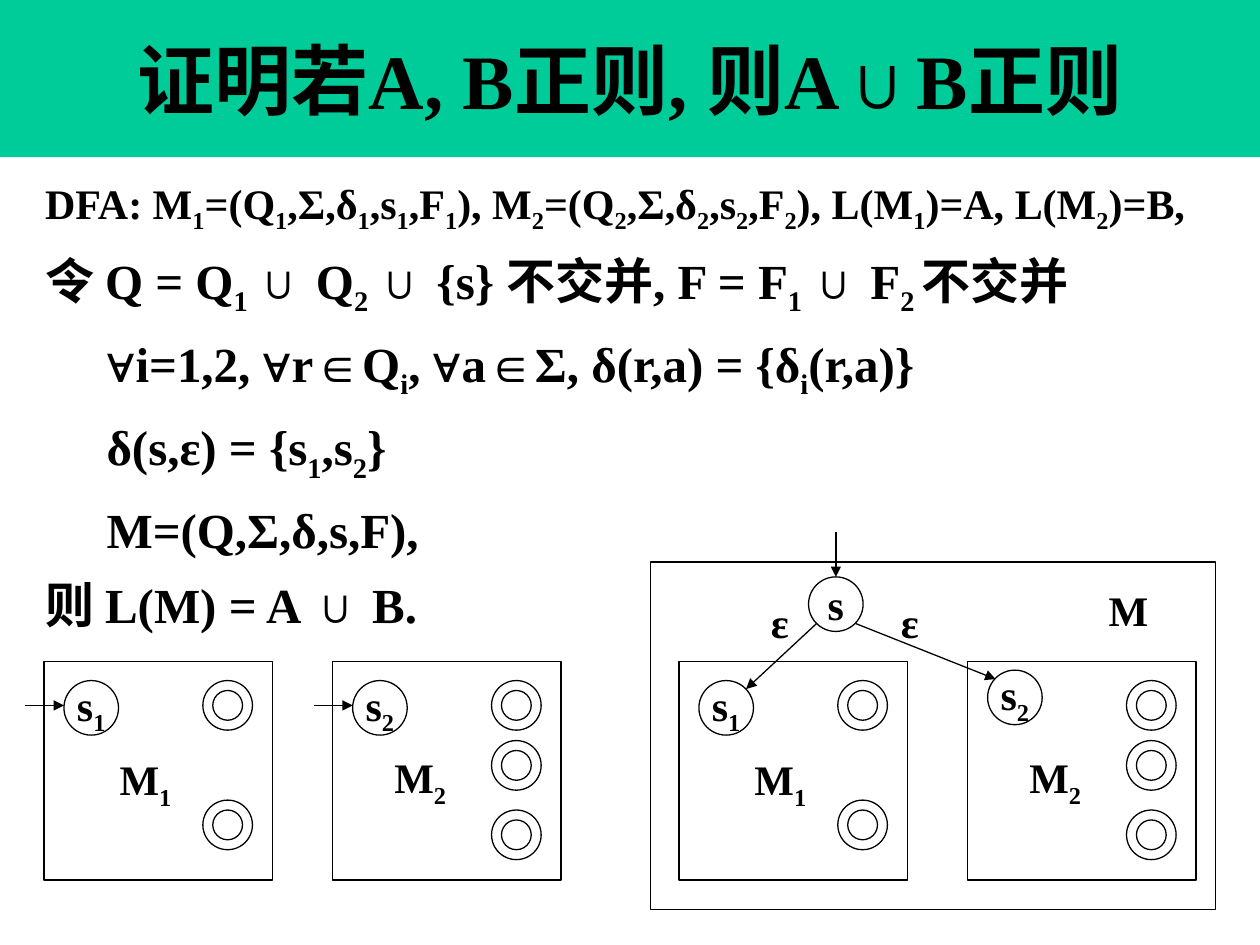
from dataclasses import dataclass
from pptx import Presentation
from pptx.dml.color import RGBColor
from pptx.enum.shapes import MSO_CONNECTOR, MSO_SHAPE
from pptx.enum.text import MSO_ANCHOR, MSO_AUTO_SIZE, PP_ALIGN
from pptx.oxml.ns import qn
from pptx.util import Cm, Pt
from lxml.etree import SubElement


@dataclass(frozen=True)
class Theme:
    font: str = "Times New Roman"
    ink: RGBColor = RGBColor(0, 0, 0)
    band: RGBColor = RGBColor(0, 204, 153)
    head: int = 44
    body: int = 28
    small: int = 24
    line: float = 0.75


THEME = Theme()


def write(par, text, size=THEME.small, align=PP_ALIGN.LEFT, lead=1.0, before=0, after=0, indent=0):
    par.alignment = align
    par.line_spacing = lead
    par.space_before = Pt(before)
    par.space_after = Pt(after)
    if indent:
        par._p.get_or_add_pPr().set("marL", str(Cm(indent)))
    for i, part in enumerate(text.split("|")):
        if not part:
            continue
        run = par.add_run()
        run.text = part
        font = run.font
        font.name, font.size, font.bold = THEME.font, Pt(size), True
        font.color.rgb = THEME.ink
        if i % 2:
            run._r.get_or_add_rPr().set("baseline", "-25000")


class Board:
    def __init__(self, theme, slide):
        self.theme = theme
        self.slide = slide
        self.shapes = slide.shapes

    def title(self, text, width, height):
        shape = self.shapes.title
        shape.left, shape.top, shape.width, shape.height = 0, 0, Cm(width), Cm(height)
        shape.fill.solid()
        shape.fill.fore_color.rgb = self.theme.band
        frame = shape.text_frame
        frame.vertical_anchor = MSO_ANCHOR.MIDDLE
        write(frame.paragraphs[0], text, size=self.theme.head, align=PP_ALIGN.CENTER)

    def text(self, x, y, w, h, rows):
        frame = self.shapes.add_textbox(Cm(x), Cm(y), Cm(w), Cm(h)).text_frame
        frame.word_wrap = False
        frame.auto_size = MSO_AUTO_SIZE.SHAPE_TO_FIT_TEXT
        for i, (row, style) in enumerate(rows):
            par = frame.add_paragraph() if i else frame.paragraphs[0]
            write(par, row, **style)

    def shape(self, kind, x, y, w, h):
        shape = self.shapes.add_shape(kind, Cm(x), Cm(y), Cm(w), Cm(h))
        shape.shadow.inherit = False
        shape.fill.background()
        shape.line.color.rgb = self.theme.ink
        shape.line.width = Pt(self.theme.line)
        return shape

    def box(self, x, y, w, h):
        self.shape(MSO_SHAPE.RECTANGLE, x, y, w, h)

    def state(self, x, y, text):
        frame = self.shape(MSO_SHAPE.OVAL, x, y, 1.1, 1.1).text_frame
        frame.margin_left = frame.margin_right = frame.margin_top = frame.margin_bottom = 0
        frame.word_wrap = False
        frame.vertical_anchor = MSO_ANCHOR.MIDDLE
        write(frame.paragraphs[0], text, align=PP_ALIGN.CENTER)

    def final(self, x, y):
        for inset in (0, 0.2):
            side = 1 - 2 * inset
            self.shape(MSO_SHAPE.OVAL, x + inset, y + inset, side, side)

    def arrow(self, *ends):
        line = self.shapes.add_connector(MSO_CONNECTOR.STRAIGHT, *map(Cm, ends))
        line.line.color.rgb = self.theme.ink
        line.line.width = Pt(self.theme.line)
        SubElement(line.line._get_or_add_ln(), qn("a:tailEnd"), type="triangle")
        SubElement(line._element.spPr, qn("a:effectLst"))

    def label(self, x, y, text, w=1.73, lead=1.1):
        self.text(x, y, w, 1.37, [(text, {"lead": lead})])

    def machine(self, x, mark, name, finals, drop=13.72, entry=True):
        self.box(x, 13.34, 4.6, 4.4)
        for y in finals:
            self.final(x + 3.2, y)
        self.state(x + 0.4, drop, f"s|{mark}|")
        self.label(x + name[0], name[1], f"M|{mark}|")
        if entry:
            self.arrow(x - 0.38, 14.22, x + 0.4, 14.22)


def main():
    deck = Presentation()
    deck.slide_width, deck.slide_height = Cm(25.4), Cm(19.05)
    board = Board(THEME, deck.slides.add_slide(deck.slide_layouts[5]))
    board.title("证明若A, B正则, 则A∪B正则", 25.4, 3.17)

    first = {"lead": 1.1, "after": 2.4}
    main_row = {"size": THEME.body, "lead": 1.1, "before": 2.8, "after": 2.8}
    inner = {**main_row, "indent": 1.24}
    board.text(0.66, 3.33, 24.89, 9.14, [
        ("DFA: M|1|=(Q|1|,Σ,δ|1|,s|1|,F|1|), M|2|=(Q|2|,Σ,δ|2|,s|2|,F|2|), L(M|1|)=A, L(M|2|)=B,", first),
        ("令 Q = Q|1 |∪ Q|2 |∪ {s} 不交并, F = F|1 |∪ F|2 |不交并", main_row),
        ("∀i=1,2, ∀r∈Q|i|, ∀a∈Σ, δ(r,a) = {δ|i|(r,a)}", inner),
        ("δ(s,ε) = {s|1|,s|2|}", inner),
        ("M=(Q,Σ,δ,s,F),", inner),
        ("则 L(M) = A ∪ B.", main_row),
    ])

    one = {"mark": 1, "name": (1.27, 14.96), "finals": (13.72, 16.13)}
    two = {"mark": 2, "name": (0.99, 14.91), "finals": (13.72, 14.93, 16.33)}
    board.machine(0.89, **one)
    board.machine(6.71, **two)

    board.box(13.11, 11.33, 11.4, 7.01)
    board.machine(13.69, **one, entry=False)
    board.machine(19.51, **two, drop=13.51, entry=False)
    board.state(16.3, 11.63, "s")
    board.arrow(16.85, 10.72, 16.85, 11.63)
    board.arrow(16.46, 12.57, 15.04, 13.89)
    board.arrow(17.25, 12.57, 20.07, 13.69)
    for x in (15.29, 17.91):
        board.label(x, 11.91, "ε", w=1.09, lead=1.0)
    board.label(22.1, 11.56, "M", w=1.45)

    deck.save("out.pptx")


if __name__ == "__main__":
    main()
